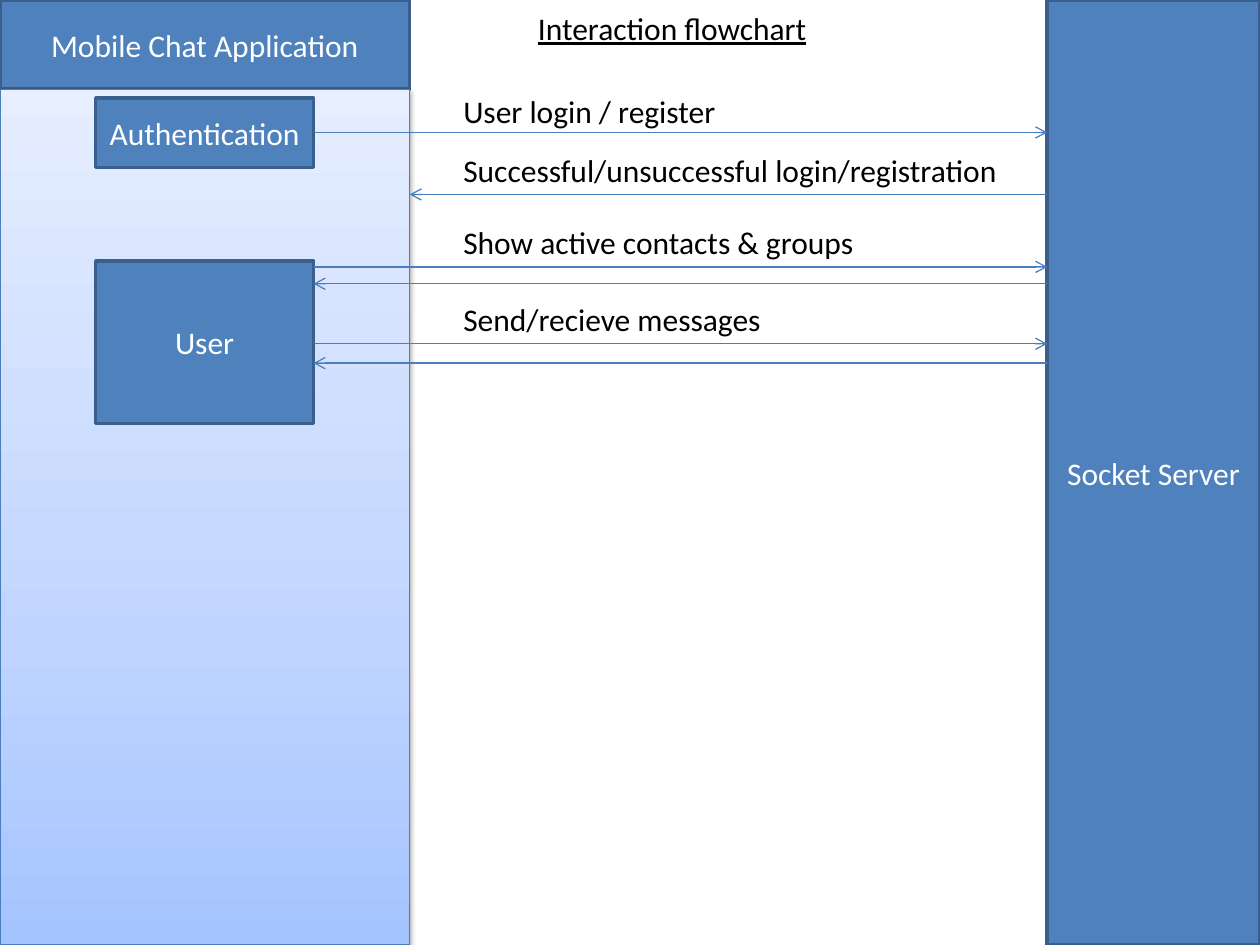
from copy import deepcopy
from lxml.etree import SubElement as Sub
from pptx import Presentation as Deck
from pptx.dml.color import RGBColor as RGB
from pptx.enum.shapes import MSO_CONNECTOR as Link, MSO_SHAPE as Kind
from pptx.enum.text import MSO_ANCHOR as Anchor, MSO_AUTO_SIZE as Fit, PP_ALIGN as Align
from pptx.oxml.ns import qn
from pptx.util import Cm, Pt

BLUE = RGB(0x4F, 0x81, 0xBD)
EDGE = RGB(0x3A, 0x5F, 0x8C)
LINE = RGB(0x4B, 0x7E, 0xBC)
WHITE = RGB(0xFF, 0xFF, 0xFF)
BLACK = RGB(0, 0, 0)
FADE = [
    (0, RGB(0xA4, 0xC4, 0xFF)),
    (0.35, RGB(0xBF, 0xD4, 0xFF)),
    (1, RGB(0xE6, 0xEE, 0xFF)),
]
WIDE, HIGH = 25.4, 19.05
APP, SERVER = 8.26, 21.11
BOX, BOX_W = 1.93, 4.39


def write(frame, text, color, align=Align.LEFT, anchor=Anchor.TOP, under=None):
    frame.vertical_anchor = anchor
    para = frame.paragraphs[0]
    para.alignment = align
    run = para.add_run()
    run.text = text
    font = run.font
    font.name, font.size, font.underline = "Calibri", Pt(18), under
    font.color.rgb = color


def block(slide, x, y, w, h, edge=EDGE, width=2):
    shape = slide.shapes.add_shape(Kind.RECTANGLE, Cm(x), Cm(y), Cm(w), Cm(h))
    shape.shadow.inherit = False
    shape.fill.solid()
    shape.fill.fore_color.rgb = BLUE
    shape.line.color.rgb = edge
    shape.line.width = Pt(width)
    return shape


def node(slide, text, x, y, w, h):
    shape = block(slide, x, y, w, h)
    shape.text_frame.word_wrap = True
    write(shape.text_frame, text, WHITE, Align.CENTER, Anchor.MIDDLE)


def fade(shape):
    fill = shape.fill
    fill.gradient()
    fill.gradient_angle = 90
    stops = shape.element.spPr.find(".//" + qn("a:gsLst"))
    stops.append(deepcopy(stops[0]))
    for stop, (pos, color) in zip(fill.gradient_stops, FADE):
        stop.position = pos
        stop.color.rgb = color


def shade(shape):
    effect = shape.element.spPr.find(qn("a:effectLst"))
    outer = Sub(effect, qn("a:outerShdw"), blurRad=str(Pt(3.1)), dist=str(Pt(1.6)),
                dir="5400000", rotWithShape="0")
    color = Sub(outer, qn("a:srgbClr"), val="000000")
    Sub(color, qn("a:alpha"), val="38000")


def app(slide, x, y, w, h):
    head = 1.8
    node(slide, "Mobile Chat Application", x, y, w, head)
    panel = block(slide, x, y + head, w, h - head, LINE, 0.75)
    fade(panel)
    shade(panel)
    for text, top, tall in [("Authentication", 1.98, 1.4), ("User", 5.26, 3.28)]:
        node(slide, text, x + BOX, y + top, BOX_W, tall)


def arrow(slide, start, end, y):
    link = slide.shapes.add_connector(Link.STRAIGHT, Cm(start), Cm(y), Cm(end), Cm(y))
    link.line.color.rgb = LINE
    link.line.width = Pt(0.75)
    Sub(link.line._get_or_add_ln(), qn("a:tailEnd"), type="arrow")
    Sub(link._element.spPr, qn("a:effectLst"))


def label(slide, text, x, y, w):
    box = slide.shapes.add_textbox(Cm(x), Cm(y), Cm(w), Cm(1.02))
    frame = box.text_frame
    frame.word_wrap = True
    frame.auto_size = Fit.SHAPE_TO_FIT_TEXT
    write(frame, text, BLACK)


def calls(slide, x, y, w):
    right = x + w
    inner = BOX + BOX_W
    for text, top, wide in [
        ("User login / register", 1.73, 5.79),
        ("Successful/unsuccessful login/registration", 2.92, 13.84),
        ("Show active contacts & groups", 4.37, 8.99),
        ("Send/recieve messages", 5.92, 8.99),
    ]:
        label(slide, text, x + 0.83, y + top, wide)
    for start, end, top in [
        (inner, right, 2.67),
        (right, x, 3.92),
        (inner, right, 5.38),
        (right, inner, 5.72),
        (inner, right, 6.93),
        (right, inner, 7.32),
    ]:
        arrow(slide, start, end, y + top)


def title(slide, x, y, w, h):
    head = slide.shapes.title
    head.left, head.top, head.width, head.height = Cm(x), Cm(y), Cm(w), Cm(h)
    head.text_frame.word_wrap = True
    head.text_frame.auto_size = Fit.NONE
    write(head.text_frame, "Interaction flowchart", BLACK, under=True)


deck = Deck()
deck.slide_width, deck.slide_height = Cm(WIDE), Cm(HIGH)
slide = deck.slides.add_slide(deck.slide_layouts[5])
title(slide, 10.59, 0.05, 5.99, 1.02)
app(slide, 0, 0, APP, HIGH)
node(slide, "Socket Server", SERVER, 0, WIDE - SERVER, HIGH)
calls(slide, APP, 0, SERVER - APP)
deck.save("out.pptx")
